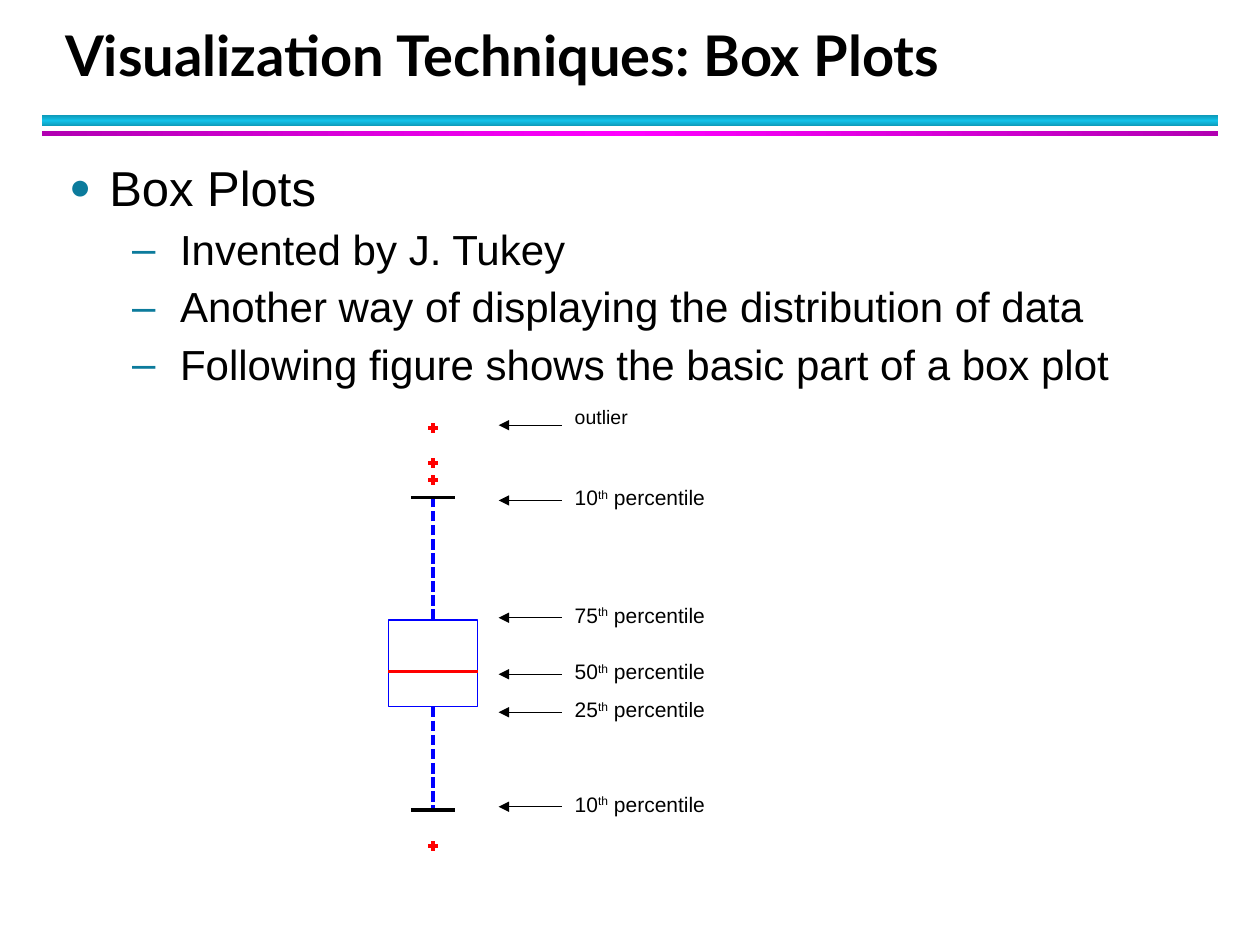
"""Build a slide that explains the parts of a box plot."""
from copy import deepcopy

from pptx import Presentation
from pptx.dml.color import RGBColor
from pptx.enum import dml, shapes, text
from pptx.oxml import ns, xmlchemy
from pptx.util import Pt

COLORS = {
    "text": "000000", "paper": "FFFFFF", "bullet": "0C7B9C",
    "teal": "0E9BBA", "cyan": "12C2E9", "purple": "B200B2", "magenta": "FF00FF",
    "box": "0000FF", "mark": "FF0000",
}
BULLETS = [
    ("Box Plots", 0),
    ("Invented by J. Tukey", 1),
    ("Another way of displaying the distribution of data", 1),
    ("Following figure shows the basic part of a box plot", 1),
]
BULLET_STYLES = [
    {"size": 28, "left": 23, "hang": 23, "before": 3.5, "char": "●", "scale": 75},
    {"size": 24, "left": 63.4, "hang": 27.4, "before": 3, "char": "–", "scale": 100},
]
PERCENTILES = [("10", 461), ("25", 407), ("75", 353), ("50", 385.3), ("10", 286)]
OUTLIERS = [244.6, 274.4, 264.6, 483.4]
BOX_LEFT, BOX_TOP, BOX_WIDTH, BOX_HEIGHT = 222, 354.3, 51, 49.5
CENTER = BOX_LEFT + BOX_WIDTH / 2
LABEL_LEFT = 321.3


def color(name):
    """Return the named colour."""
    return RGBColor.from_string(COLORS[name])


def add_node(parent, tag, **attributes):
    """Append an XML element with the given attributes."""
    node = xmlchemy.OxmlElement(tag)
    for key, value in attributes.items():
        node.set(key, str(value))
    parent.append(node)
    return node


def set_font(para, size, name="Arial", bold=False):
    """Format a whole paragraph."""
    font = para.font
    font.size, font.name, font.bold = Pt(size), name, bold
    font.color.rgb = color("text")


def set_frame(frame, anchor):
    """Apply wrapping, anchoring and standard insets."""
    frame.word_wrap = True
    frame.auto_size = text.MSO_AUTO_SIZE.NONE
    frame.vertical_anchor = anchor
    frame.margin_left = frame.margin_right = Pt(7.2)
    frame.margin_top = frame.margin_bottom = Pt(3.6)


def add_rectangle(page, left, top, width, height):
    """Add a rectangle without shadow or line."""
    shape = page.shapes.add_shape(
        shapes.MSO_SHAPE.RECTANGLE, Pt(left), Pt(top), Pt(width), Pt(height))
    shape.shadow.inherit = False
    shape.line.fill.background()
    return shape


def add_band(page, top, height, edge, middle, angle):
    """Add a horizontal band with a symmetric gradient."""
    band = add_rectangle(page, 24, top, 672, height)
    band.fill.gradient()
    band.fill.gradient_angle = angle
    stop_list = next(band._element.iter(ns.qn("a:gsLst")))
    stop_list.append(deepcopy(stop_list[0]))
    for stop, name, position in zip(
            band.fill.gradient_stops, (edge, middle, edge), (0, 0.5, 1)):
        stop.color.rgb = color(name)
        stop.position = position


def add_line(page, start, end, name, width=0):
    """Add a straight line between two points."""
    line = page.shapes.add_connector(
        shapes.MSO_CONNECTOR.STRAIGHT, *(Pt(value) for value in (*start, *end)))
    line.line.color.rgb = color(name)
    line.line.width = Pt(width)
    add_node(line._element.spPr, "a:effectLst")
    return line


def add_title(page, wording):
    """Place and format the title."""
    title = page.shapes.title
    title.left, title.top, title.width, title.height = Pt(30), Pt(12), Pt(652.5), Pt(42)
    set_frame(title.text_frame, text.MSO_ANCHOR.BOTTOM)
    title.text_frame.text = wording
    para = title.text_frame.paragraphs[0]
    para.alignment = text.PP_ALIGN.LEFT
    para.line_spacing = Pt(36)
    set_font(para, 32, "Lato", True)


def add_bullets(page):
    """Add the bulleted text."""
    box = page.shapes.add_textbox(Pt(32.4), Pt(90), Pt(664), Pt(144))
    frame = box.text_frame
    set_frame(frame, text.MSO_ANCHOR.TOP)
    for index, (wording, level) in enumerate(BULLETS):
        style = BULLET_STYLES[level]
        para = frame.add_paragraph() if index else frame.paragraphs[0]
        para.text = wording
        para.level = level
        para.line_spacing = 0.9
        para.space_before = Pt(style["before"] if index else 0)
        para.space_after = Pt(4)
        properties = para._p.get_or_add_pPr()
        properties.set("marL", str(Pt(style["left"])))
        properties.set("indent", str(-Pt(style["hang"])))
        tint = add_node(properties, "a:buClr")
        add_node(tint, "a:srgbClr", val=COLORS["bullet"])
        add_node(properties, "a:buSzPct", val=style["scale"] * 1000)
        add_node(properties, "a:buFont", typeface="Arial")
        add_node(properties, "a:buChar", char=style["char"])
        set_font(para, style["size"])


def add_box_plot(page):
    """Draw the box, whiskers, median and outliers."""
    box = add_rectangle(page, BOX_LEFT, BOX_TOP, BOX_WIDTH, BOX_HEIGHT)
    box.fill.background()
    box.line.color.rgb = color("box")
    box.line.width = Pt(0)
    for side, edge, cap in ((0, BOX_TOP, 284.4), (2, BOX_TOP + BOX_HEIGHT, 463)):
        whisker = add_line(page, (CENTER, edge), (CENTER, cap), "box")
        whisker.line.dash_style = dml.MSO_LINE.SQUARE_DOT
        whisker.begin_connect(box, side)
        add_line(page, (CENTER - 12.7, cap), (CENTER + 12.7, cap), "text")
    add_line(page, (BOX_LEFT, 383.6), (BOX_LEFT + BOX_WIDTH, 383.6), "mark")
    for y in OUTLIERS:
        add_line(page, (CENTER - 2.8, y), (CENTER + 2.8, y), "mark")
        add_line(page, (CENTER, y - 2.7), (CENTER, y + 2.7), "mark")


def add_label(page, y, offset, width, height, parts, size, spacing):
    """Add an arrow and its label, with odd parts raised."""
    arrow = add_line(page, (285, y), (LABEL_LEFT, y), "text", 0.75)
    add_node(arrow.line._get_or_add_ln(), "a:headEnd", type="triangle")
    label = add_rectangle(page, LABEL_LEFT, y - offset, width, height)
    label.fill.solid()
    label.fill.fore_color.rgb = color("paper")
    set_frame(label.text_frame, text.MSO_ANCHOR.TOP)
    para = label.text_frame.paragraphs[0]
    para.alignment = text.PP_ALIGN.LEFT
    para.line_spacing = spacing
    para.space_after = Pt(4)
    set_font(para, size)
    for index, part in enumerate(parts):
        span = para.add_run()
        span.text = part
        if index % 2:
            span.font._element.set("baseline", "30000")


def main():
    """Build and save the deck."""
    deck = Presentation()
    deck.slide_width, deck.slide_height = Pt(720), Pt(540)
    page = deck.slides.add_slide(deck.slide_layouts[5])
    add_band(page, 66, 6, "teal", "cyan", 90)
    add_band(page, 75, 3, "purple", "magenta", 0)
    add_title(page, "Visualization Techniques: Box Plots")
    add_bullets(page)
    add_box_plot(page)
    add_label(page, 243, 11.2, 54, 18, ["outlier"], 11.1, 0.7)
    for rank, y in PERCENTILES:
        add_label(page, y, 10.8, 98.6, 26.6, [rank, "th", " percentile"], 12, 0.9)
    deck.save("out.pptx")


if __name__ == "__main__":
    main()
